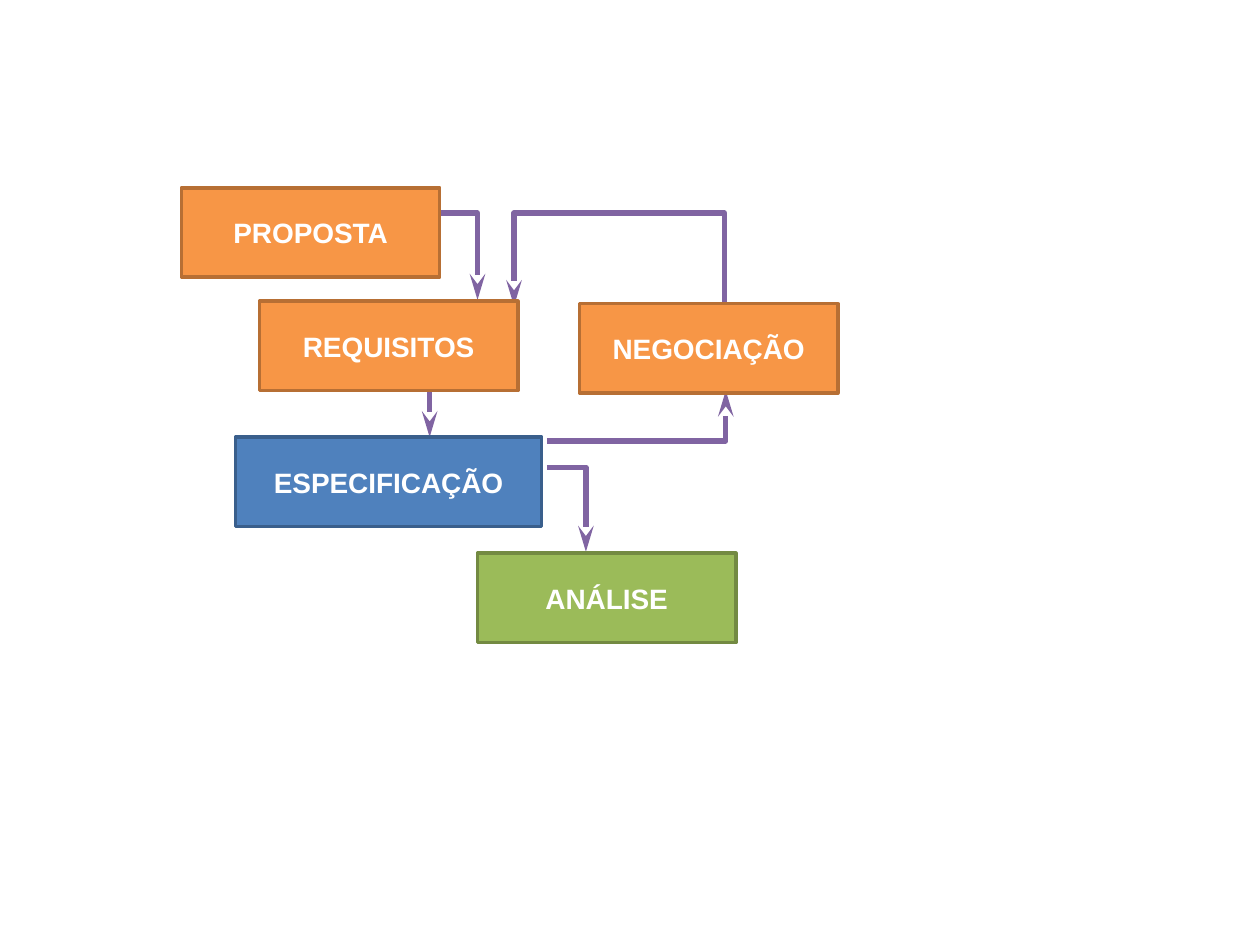
from dataclasses import dataclass
from lxml.etree import SubElement
from pptx import Presentation
from pptx.dml.color import RGBColor as RGB
from pptx.enum.shapes import MSO_CONNECTOR as LINK, MSO_SHAPE as SHAPE
from pptx.enum.text import MSO_ANCHOR as ANCHOR, PP_ALIGN as ALIGN
from pptx.oxml.ns import qn
from pptx.util import Inches, Pt


@dataclass(frozen=True)
class Theme:
    font: str = "Arial"
    size: int = 16
    text: str = "FFFFFF"
    orange: tuple = ("F79646", "B76F34")
    blue: tuple = ("4F81BD", "3A5F8C")
    green: tuple = ("9BBB59", "738A42")
    arrow: str = "8064A2"
    edge: int = 2
    stroke: int = 3


THEME = Theme()
WIDTH, HEIGHT = 2.05, 0.71

STEPS = [
    ("PROPOSTA", 0, 0, WIDTH, THEME.orange),
    ("REQUISITOS", 0.62, 0.9, WIDTH, THEME.orange),
    ("ESPECIFICAÇÃO", 0.43, 1.98, 2.43, THEME.blue),
    ("ANÁLISE", 2.35, 2.9, WIDTH, THEME.green),
    ("NEGOCIAÇÃO", 3.16, 0.92, WIDTH, THEME.orange),
]

ROUTES = [
    [(2.9, 2.01), (4.32, 2.01), (4.32, 1.61)],
    [(2.05, 0.2), (2.35, 0.2), (2.35, 0.89)],
    [(4.31, 1.2), (4.31, 0.2), (2.64, 0.2), (2.64, 0.94)],
    [(2.9, 2.22), (3.21, 2.22), (3.21, 2.89)],
    [(1.97, 1.42), (1.97, 1.98)],
]


def add_step(shapes, label, left, top, width, colors):
    fill, edge = colors
    step = shapes.add_shape(
        SHAPE.RECTANGLE, Inches(left), Inches(top), Inches(width), Inches(HEIGHT)
    )
    step.shadow.inherit = False
    step.fill.solid()
    step.fill.fore_color.rgb = RGB.from_string(fill)
    step.line.color.rgb = RGB.from_string(edge)
    step.line.width = Pt(THEME.edge)
    frame = step.text_frame
    frame.margin_left = frame.margin_right = 0
    frame.margin_top = frame.margin_bottom = 0
    frame.vertical_anchor = ANCHOR.MIDDLE
    frame.text = label
    para = frame.paragraphs[0]
    para.alignment = ALIGN.CENTER
    font = para.runs[0].font
    font.name, font.size, font.bold = THEME.font, Pt(THEME.size), True
    font.color.rgb = RGB.from_string(THEME.text)


def add_route(shapes, points):
    start, *rest = [(Inches(x), Inches(y)) for x, y in points]
    if len(rest) == 1:
        route = shapes.add_connector(LINK.STRAIGHT, *start, *rest[0])
    else:
        builder = shapes.build_freeform(*start)
        builder.add_line_segments(rest, close=False)
        route = builder.convert_to_shape()
        route.fill.background()
    route.line.color.rgb = RGB.from_string(THEME.arrow)
    route.line.width = Pt(THEME.stroke)
    props = route._element.spPr
    SubElement(props.find(qn("a:ln")), qn("a:tailEnd"), type="stealth", w="med", len="lg")
    SubElement(props, qn("a:effectLst"))


def add_flow(shapes, left, top):
    for points in ROUTES:
        add_route(shapes, [(left + x, top + y) for x, y in points])
    for label, x, y, width, colors in STEPS:
        add_step(shapes, label, left + x, top + y, width, colors)


def main():
    deck = Presentation()
    deck.slide_width, deck.slide_height = Inches(10), Inches(7.5)
    slide = deck.slides.add_slide(deck.slide_layouts[6])
    add_flow(slide.shapes, 1.44, 1.49)
    deck.save("out.pptx")


if __name__ == "__main__":
    main()
